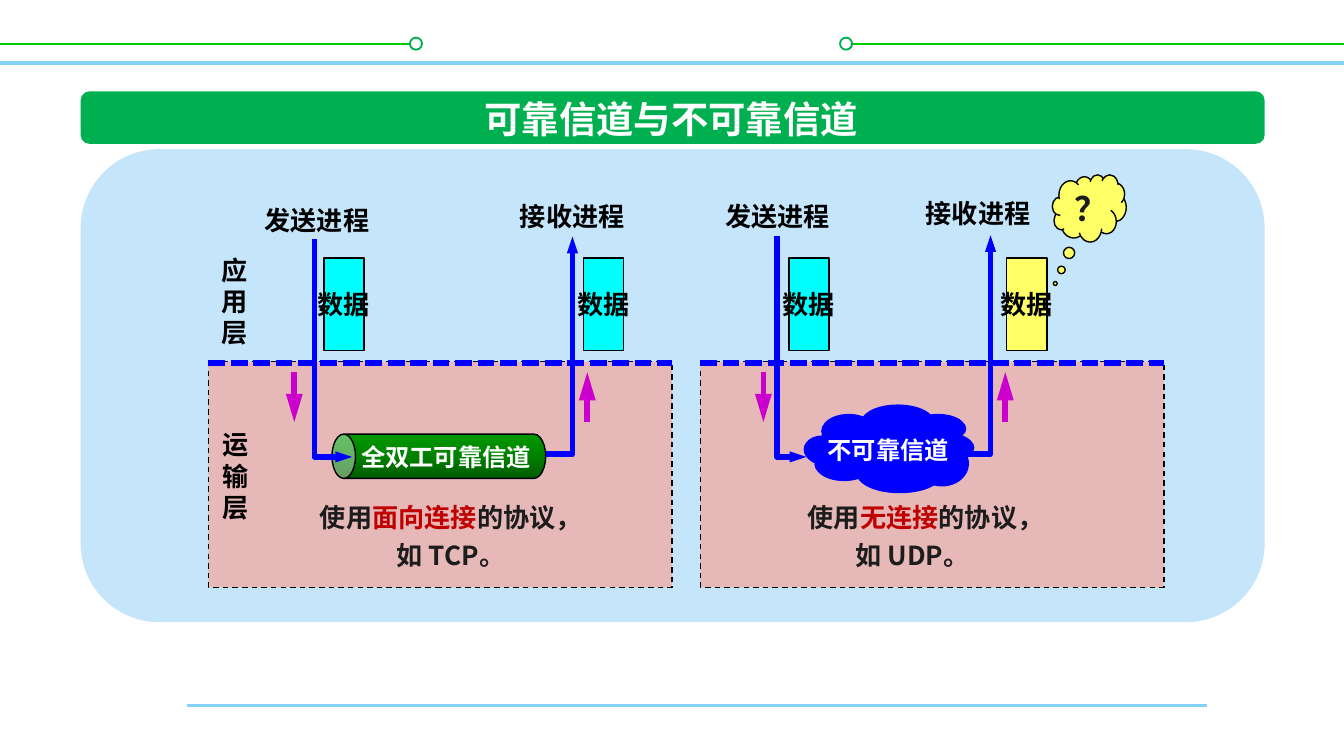
from pptx import Presentation
from pptx.dml.color import RGBColor
from pptx.enum.dml import MSO_LINE as Dash
from pptx.enum.shapes import MSO_CONNECTOR as Conn, MSO_SHAPE as Kind
from pptx.enum.text import MSO_ANCHOR as Anchor, MSO_AUTO_SIZE as Fit, PP_ALIGN as Align
from pptx.oxml.ns import qn
from pptx.util import Inches, Pt
from lxml import etree

HUES = {
    "white": "FFFFFF", "black": "000000", "ink": "1C1C1C", "red": "C00000",
    "sky": "85D1F7", "pale": "C5E5FB", "lime": "00CC00", "green": "00B050",
    "pink": "E6B9B8", "blue": "0000FF", "cyan": "00FFFF", "yellow": "FFFF66",
    "purple": "CC00CC", "dark": "005B00", "mid": "008100", "leaf": "009900",
}
SANS = "Noto Sans CJK SC"
PUFFS = [
    (0.44, 0.02, 0.54, 0.26), (0.14, 0.09, 0.41, 0.26), (0.01, 0.25, 0.27, 0.21),
    (0.09, 0.35, 0.42, 0.23), (0.40, 0.39, 0.63, 0.28), (0.81, 0.09, 0.40, 0.20),
    (0.87, 0.23, 0.40, 0.20), (0.83, 0.28, 0.40, 0.34), (0.24, 0.17, 0.82, 0.34),
]


def hue(name):
    return RGBColor.from_string(HUES[name])


def stroke(line, color, width, dash=None):
    line.color.rgb = hue(color)
    line.width = Pt(width)
    if dash:
        line.dash_style = dash


def tip(shape, wide, long):
    line = shape.element.spPr.find(qn("a:ln"))
    etree.SubElement(line, qn("a:tailEnd"), type="triangle", w=wide, len=long)


def block(shapes, kind, box, fill, line=None, width=0.75, dash=None):
    shape = shapes.add_shape(kind, *map(Inches, box))
    shape.shadow.inherit = False
    shape.fill.solid()
    shape.fill.fore_color.rgb = hue(fill)
    if line:
        stroke(shape.line, line, width, dash)
    else:
        shape.line.fill.background()
    return shape


def rule(shapes, ends, color, width, dash=None):
    line = shapes.add_connector(Conn.STRAIGHT, *map(Inches, ends))
    stroke(line.line, color, width, dash)
    etree.SubElement(line.element.spPr, qn("a:effectLst"))
    return line


def style(para, size, color, face=SANS):
    font = para.font
    font.name, font.size, font.bold = face, Pt(size), True
    font.color.rgb = hue(color)


def label(shapes, box, text, size=14, color="black", wrap=True):
    frame = shapes.add_textbox(*map(Inches, box)).text_frame
    frame.word_wrap = wrap
    frame.text = text
    for para in frame.paragraphs:
        para.line_spacing = Pt(size * 1.2)
        style(para, size, color)


def frame_lines(shapes):
    rule(shapes, (1.39, 5.25, 8.98, 5.25), "sky", 1.5)
    rule(shapes, (0, 0.47, 10, 0.47), "sky", 2)
    for start, end, ring in [(0, 3.1, 3.05), (6.25, 10, 6.25)]:
        rule(shapes, (start, 0.33, end, 0.33), "lime", 1)
        block(shapes, Kind.OVAL, (ring, 0.28, 0.09, 0.09), "white", "green", 1)


def heading(shapes, x, y):
    bar = block(shapes, Kind.ROUNDED_RECTANGLE, (x, y, 8.81, 0.39), "green")
    title = shapes.title
    bar.element.addnext(title.element)
    title.left, title.top = Inches(x + 2.89), Inches(y - 0.02)
    title.width, title.height = Inches(3.01), Inches(0.44)
    frame = title.text_frame
    frame.text = "可靠信道与不可靠信道"
    frame.word_wrap, frame.auto_size = False, Fit.NONE
    frame.vertical_anchor = Anchor.MIDDLE
    para = frame.paragraphs[0]
    para.alignment = Align.CENTER
    style(para, 20, "white", "Calibri")


def layer(shapes, x, y):
    block(shapes, Kind.RECTANGLE, (x, y, 3.45, 1.68), "pink", "black", dash=Dash.DASH)
    rule(shapes, (x, y + 0.01, x + 3.45, y + 0.01), "blue", 3, Dash.SQUARE_DOT)


def note(shapes, box, link, proto):
    frame = shapes.add_textbox(*map(Inches, box)).text_frame
    frame.word_wrap = True
    para = frame.paragraphs[0]
    para.alignment, para.line_spacing = Align.CENTER, Pt(20)
    style(para, 14, "ink")
    for text in ("使用", link, f"的协议，如 {proto}。"):
        run = para.add_run()
        run.text = text
        if text == link:
            run.font.color.rgb = hue("red")


def flow(shapes, x, top, low, turn, up, name, data, arrow, fill="cyan"):
    points = [(x, top), (x, low), (x + turn, low)]
    ends = [2.77, 3.14]
    if up:
        points.reverse()
        ends.reverse()
    first, *rest = [(Inches(a), Inches(b)) for a, b in points]
    pen = shapes.build_freeform(*first)
    pen.add_line_segments(rest, close=False)
    path = pen.convert_to_shape()
    path.shadow.inherit = False
    path.fill.background()
    stroke(path.line, "blue", 3)
    tip(path, "sm", "med")

    mark = rule(shapes, (x + arrow, ends[0], x + arrow, ends[1]), "purple", 3)
    tip(mark, "med", "lg")
    label(shapes, (*name, 1.1, 0.34), "接收进程" if up else "发送进程")

    card = block(shapes, Kind.RECTANGLE, (x + data, 1.92, 0.3, 0.69), fill, "black")
    frame = card.text_frame
    frame.word_wrap = False
    frame.vertical_anchor = Anchor.MIDDLE
    frame.text = "数据"
    frame.paragraphs[0].alignment = Align.CENTER
    style(frame.paragraphs[0], 14, "black")


def pipe(shapes, x, y):
    can = block(shapes, Kind.CAN, (x + 0.63, y - 0.63, 0.33, 1.59), "leaf", "black")
    can.rotation = 270
    can.adjustments[0] = 0.53
    can.fill.gradient()
    can.fill.gradient_angle = 0
    stops = can.element.spPr.find(qn("a:gradFill")).find(qn("a:gsLst"))
    for stop in list(stops):
        stops.remove(stop)
    for pos, name in [(0, "dark"), (50, "mid"), (100, "leaf")]:
        stop = etree.SubElement(stops, qn("a:gs"), pos=str(pos * 1000))
        etree.SubElement(stop, qn("a:srgbClr"), val=HUES[name])
    label(shapes, (x + 0.12, y + 0.01, 1.48, 0.32), "全双工可靠信道", 13, "white", False)


def cloud(shapes, x, y):
    group = shapes.add_group_shape().shapes
    for shift in (0, -0.01):
        for a, b, w, h in PUFFS:
            block(group, Kind.OVAL, (x + a + shift, y + b + shift, w, h), "blue")
    label(shapes, (x + 0.08, y + 0.19, 1.11, 0.32), "不可靠信道", 13, "white", False)


def doubt(shapes, x, y):
    bubble = block(shapes, Kind.CLOUD_CALLOUT, (x, y, 0.55, 0.5), "yellow", "black")
    bubble.adjustments[0], bubble.adjustments[1] = -0.46, 1.12
    label(shapes, (x + 0.07, y + 0.05, 0.29, 0.4), "？", 18, "ink")


def safe(shapes, x, y):
    layer(shapes, x, y)
    label(shapes, (x, y - 0.85, 0.4, 0.81), "应\n用\n层", wrap=False)
    label(shapes, (x + 0.01, y + 0.45, 0.4, 0.81), "运\n输\n层", wrap=False)
    pipe(shapes, x + 0.92, y + 0.54)
    note(shapes, (x + 0.73, y + 0.95, 2.15, 0.66), "面向连接", "TCP")
    flow(shapes, x + 0.79, 1.78, 3.4, 0.28, False, (x + 0.32, 1.47), 0.07, -0.15)
    flow(shapes, x + 2.71, 1.76, 3.38, -0.2, True, (x + 2.22, 1.44), 0.08, 0.11)


def unsafe(shapes, x, y):
    layer(shapes, x, y)
    doubt(shapes, x + 2.62, y - 1.39)
    note(shapes, (x + 0.61, y + 0.95, 1.94, 0.66), "无连接", "UDP")
    flow(shapes, x + 0.57, 1.76, 3.4, 0.22, False, (x + 0.09, 1.44), 0.09, -0.1)
    flow(shapes, x + 2.16, 1.75, 3.38, -0.22, True, (x + 1.58, 1.42), 0.12, 0.11, "yellow")
    cloud(shapes, x + 0.77, y + 0.31)


def main():
    deck = Presentation()
    deck.slide_width = Inches(10)
    deck.slide_height = deck.slide_width * 9 // 16
    shapes = deck.slides.add_slide(deck.slide_layouts[5]).shapes
    frame_lines(shapes)
    heading(shapes, 0.6, 0.68)
    block(shapes, Kind.ROUNDED_RECTANGLE, (0.6, 1.11, 8.81, 3.52), "pale")
    safe(shapes, 1.55, 2.69)
    unsafe(shapes, 5.21, 2.69)
    deck.save("out.pptx")


if __name__ == "__main__":
    main()
